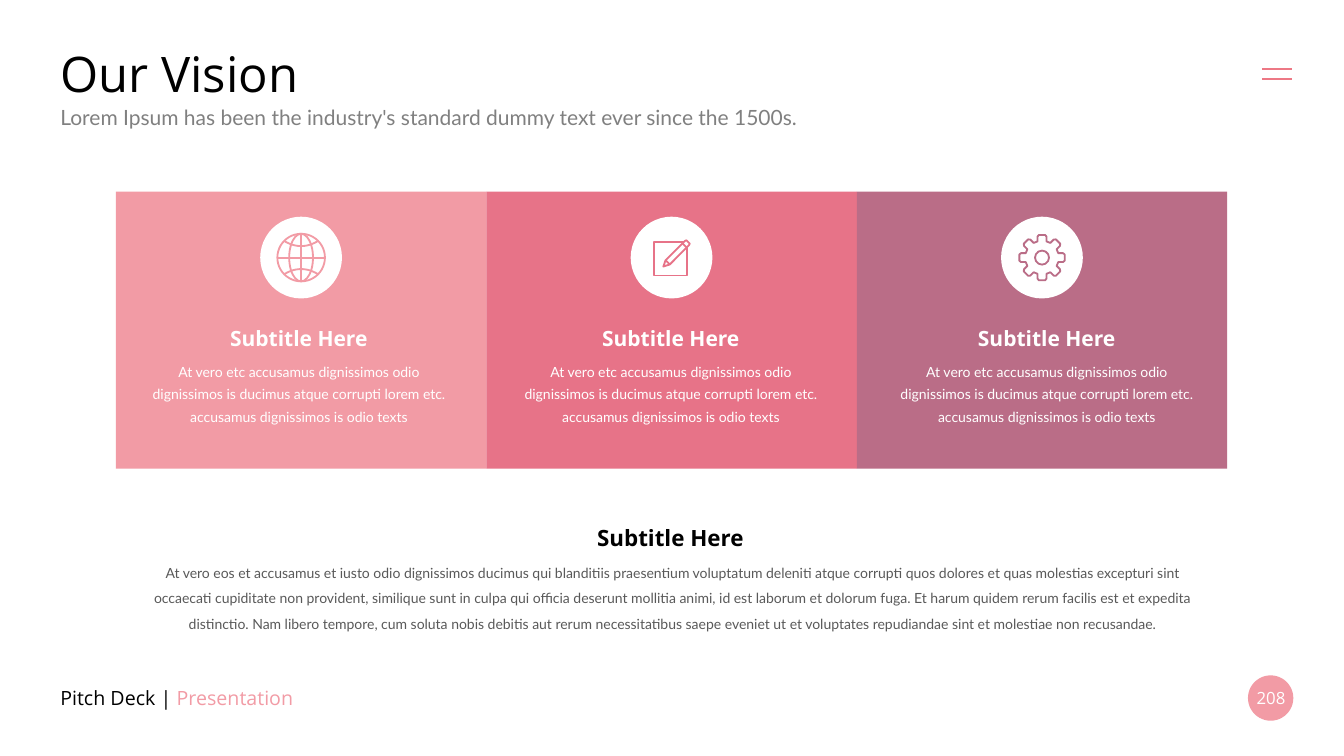
import math

from lxml import etree
from pptx import Presentation, util as u
from pptx.dml.color import RGBColor
from pptx.enum import shapes, text
from pptx.oxml.ns import qn

COLORS = {
    "black": "000000",
    "white": "FFFFFF",
    "grey": "808080",
    "dark_grey": "595959",
    "pink": "F29BA5",
    "rose": "E77388",
    "mauve": "BA6D87",
    "menu": "ED7885",
}
HEADING, BODY = "Open Sans", "Lato"
CARD_WIDTH, CARD_HEIGHT, CARD_LEFT, CARD_TOP = 264.6, 198, 82.8, 136.8
BADGE = 58.4
BADGE_Y = 184
ICON_LINE = 1.3
CARD_TEXT = ("At vero etc accusamus dignissimos odio dignissimos is ducimus atque "
             "corrupti lorem etc. accusamus dignissimos is odio texts")
CLOSING = [
    "At vero eos et accusamus et iusto odio dignissimos ducimus qui blanditiis praesentium "
    "voluptatum deleniti atque corrupti quos dolores et quas molestias excepturi sint",
    "occaecati cupiditate non provident, similique sunt in culpa qui officia deserunt mollitia "
    "animi, id est laborum et dolorum fuga. Et harum quidem rerum facilis est et expedita "
    "distinctio. Nam libero tempore, cum soluta nobis debitis aut rerum necessitatibus saepe "
    "eveniet ut et voluptates repudiandae sint et molestiae non recusandae.",
]


def rgb(name):
    return RGBColor.from_string(COLORS[name])


class Painter:
    def __init__(self, slide):
        self.shapes = slide.shapes

    def paint(self, shape, fill, line):
        shape.shadow.inherit = False
        if fill:
            shape.fill.solid()
            shape.fill.fore_color.rgb = rgb(fill)
        else:
            shape.fill.background()
        if line:
            shape.line.color.rgb = rgb(line)
            shape.line.width = u.Pt(ICON_LINE)
        else:
            shape.line.fill.background()

    def preset(self, kind, left, top, width, height, fill=None, line=None):
        shape = self.shapes.add_shape(kind, *map(u.Pt, (left, top, width, height)))
        self.paint(shape, fill, line)

    def rect(self, *box, **paint):
        self.preset(shapes.MSO_SHAPE.RECTANGLE, *box, **paint)

    def ellipse(self, x, y, width, height, **paint):
        """Draw an ellipse around the centre (x, y)."""
        self.preset(shapes.MSO_SHAPE.OVAL, x - width / 2, y - height / 2, width, height, **paint)

    def line(self, x1, y1, x2, y2, color, width=ICON_LINE):
        line = self.shapes.add_connector(
            shapes.MSO_CONNECTOR.STRAIGHT, *map(u.Pt, (x1, y1, x2, y2)))
        line.line.color.rgb = rgb(color)
        line.line.width = u.Pt(width)
        etree.SubElement(line._element.spPr, qn("a:effectLst"))

    def outline(self, x, y, points, color, fill=None, close=True):
        """Draw a path through points given relative to (x, y)."""
        start, *rest = [(u.Pt(x + dx), u.Pt(y + dy)) for dx, dy in points]
        builder = self.shapes.build_freeform(*start)
        builder.add_line_segments(rest, close=close)
        self.paint(builder.convert_to_shape(), fill, color)

    def text(self, left, top, width, height, lines, size, color, font=HEADING,
             bold=False, center=True, middle=False, spacing=None):
        frame = self.shapes.add_textbox(*map(u.Pt, (left, top, width, height))).text_frame
        frame.word_wrap = True
        frame.vertical_anchor = text.MSO_ANCHOR.MIDDLE if middle else text.MSO_ANCHOR.TOP
        frame.text = "\n".join(lines)
        for paragraph in frame.paragraphs:
            paragraph.alignment = text.PP_ALIGN.CENTER if center else text.PP_ALIGN.LEFT
            if spacing:
                paragraph.line_spacing = u.Pt(spacing)
            for run in paragraph.runs:
                self.style(run, size, color, font, bold)
        return frame

    def style(self, run, size, color, font=HEADING, bold=False):
        run.font.size = u.Pt(size)
        run.font.name = font
        run.font.bold = bold
        run.font.color.rgb = rgb(color)


def globe(painter, x, y, color):
    radius = 17
    for width in (2 * radius, 17):
        painter.ellipse(x, y, width, 2 * radius, line=color)
    painter.line(x - radius, y, x + radius, y, color)
    painter.line(x, y - radius, x, y + radius, color)
    for side in (-1, 1):
        latitude = [(dx, side * (8.2 + 3.6 * (dx / 12) ** 2)) for dx in range(-12, 13, 2)]
        painter.outline(x, y, latitude, color, close=False)


def notepad(painter, x, y, color):
    painter.rect(x - 12.8, y - 11.2, 23.8, 24, line=color)
    pencil = [(-5.9, 6.4), (-4.3, 1.9), (9.4, -11.8), (10.6, -12.4),
              (13, -10), (12.4, -8.8), (-1.3, 4.9)]
    painter.outline(x, y, pencil, color, fill="white")
    for dx, dy in ((-4.3, 1.9), (7.8, -10.2)):
        painter.line(x + dx, y + dy, x + dx + 3, y + dy + 3, color)


def gear(painter, x, y, color):
    tooth = [(11.6, -3.2), (15, -3.2), (16.2, -2.2), (16.2, 2.2), (15, 3.2), (11.6, 3.2)]
    rim = []
    for step in range(8):
        cos, sin = math.cos(step * math.pi / 4), math.sin(step * math.pi / 4)
        rim += [(a * cos - b * sin, a * sin + b * cos) for a, b in tooth]
    painter.outline(x, y, rim, color)
    painter.ellipse(x, y, 10, 10, line=color)


def main():
    deck = Presentation()
    deck.slide_width, deck.slide_height = u.Pt(960), u.Pt(540)
    painter = Painter(deck.slides.add_slide(deck.slide_layouts[6]))

    painter.text(36, 28, 888, 47.5, ["Our Vision"], 35, "black", center=False, middle=True)
    painter.text(36, 71.3, 888, 25.2,
                 ["Lorem Ipsum has been the industry's standard dummy text ever since the 1500s."],
                 15, "grey", BODY, center=False)
    for y in (49, 56.6):
        painter.line(901.8, y, 923, y, "menu", 1.5)

    # Text columns sit slightly off the card centres
    cards = [("pink", globe, 213.5), ("rose", notepad, 479.2), ("mauve", gear, 747.7)]
    for index, (color, icon, text_x) in enumerate(cards):
        left = CARD_LEFT + index * CARD_WIDTH
        badge_x = left + CARD_WIDTH / 2
        painter.rect(left, CARD_TOP, CARD_WIDTH, CARD_HEIGHT, fill=color)
        painter.ellipse(badge_x, BADGE_Y, BADGE, BADGE, fill="white")
        icon(painter, badge_x, BADGE_Y, color)
        painter.text(text_x - 75.2, 229, 150.4, 25.2, ["Subtitle Here"], 15, "white", bold=True)
        painter.text(text_x - 112, 252, 224, 54, [CARD_TEXT], 10, "white", BODY, spacing=16)

    painter.text(317.5, 370.8, 322.6, 26.6, ["Subtitle Here"], 16, "black", bold=True)
    painter.text(82, 393.8, 796.3, 59.8, CLOSING, 10, "dark_grey", BODY, spacing=18)

    footer = painter.text(36, 483.8, 236.9, 28.8, ["Pitch Deck | "], 14, "black",
                          center=False, middle=True)
    section = footer.paragraphs[0].add_run()
    section.text = "Presentation"
    painter.style(section, 14, "pink")
    painter.ellipse(907.6, 498.6, 32.4, 32.4, fill="pink")
    painter.text(888.5, 490.3, 38.9, 15.8, ["208"], 12, "white", middle=True)

    deck.save("out.pptx")


if __name__ == "__main__":
    main()
